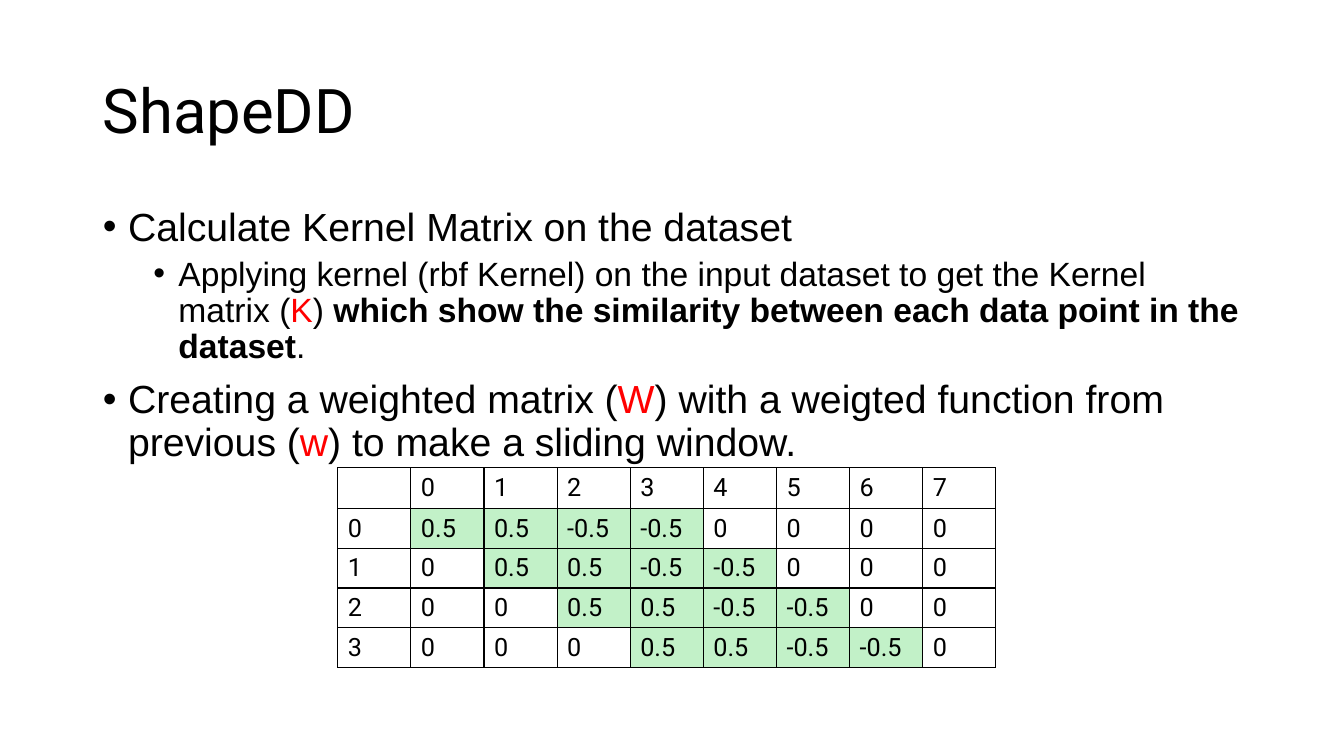
from lxml import etree
from pptx import Presentation
from pptx.dml.color import RGBColor
from pptx.enum.text import MSO_ANCHOR, MSO_AUTO_SIZE, PP_ALIGN
from pptx.oxml.ns import qn
from pptx.util import Inches, Pt

MIDDLE, TOP = MSO_ANCHOR.MIDDLE, MSO_ANCHOR.TOP
LEFT = PP_ALIGN.LEFT
NO_FIT = MSO_AUTO_SIZE.NONE

BLACK, RED, GREEN = "000000", "FF0000", "C2F1C8"

TITLE = "ShapeDD"
# (level, [(text, format), ...])
BULLETS = [
    (0, [("Calculate Kernel Matrix on the dataset", {})]),
    (1, [("Applying kernel (rbf Kernel) on the input dataset to get the Kernel matrix (", {}),
         ("K", {"color": RED}),
         (") ", {}),
         ("which show the similarity between each data point in the dataset", {"bold": True}),
         (".", {})]),
    (0, [("Creating a weighted matrix (", {}),
         ("W", {"color": RED}),
         (") with a weigted function from previous (", {}),
         ("w", {"color": RED}),
         (") to make a sliding window.", {})]),
]
# level: (text size, space before, left indent)
LEVELS = {0: (28, 10, 0.25), 1: (24, 5, 0.75)}
HANGING = 0.25

WINDOW = ["0.5", "0.5", "-0.5", "-0.5"]
N_WINDOWS, N_POINTS = 4, 8


def rgb(color):
    return RGBColor.from_string(color)


def add_run(p, text, size, font="Arial", color=BLACK, bold=False):
    r = p.add_run()
    r.text = text
    r.font.name = font
    r.font.size = Pt(size)
    r.font.bold = bold
    r.font.color.rgb = rgb(color)


def place(sp, left, top, width, height, anchor):
    """Move a placeholder and return its text frame, ready to fill."""
    sp.left, sp.top = Inches(left), Inches(top)
    sp.width, sp.height = Inches(width), Inches(height)
    tf = sp.text_frame
    tf.word_wrap = True
    tf.auto_size = NO_FIT
    tf.vertical_anchor = anchor
    return tf


def add_bullet(p, left):
    pPr = p._p.get_or_add_pPr()
    pPr.set("marL", str(Inches(left)))
    pPr.set("indent", str(-Inches(HANGING)))
    etree.SubElement(pPr, qn("a:buFont")).set("typeface", "Arial")
    etree.SubElement(pPr, qn("a:buChar")).set("char", "•")


def add_borders(cell):
    tcPr = cell._tc.get_or_add_tcPr()
    for i, side in enumerate(("lnL", "lnR", "lnT", "lnB")):
        ln = etree.Element(qn(f"a:{side}"), w=str(Pt(1)))
        fill = etree.SubElement(ln, qn("a:solidFill"))
        etree.SubElement(fill, qn("a:srgbClr")).set("val", BLACK)
        tcPr.insert(i, ln)


def fill_cell(cell, text, shaded):
    cell.vertical_anchor = MIDDLE
    if shaded:
        cell.fill.solid()
        cell.fill.fore_color.rgb = rgb(GREEN)
    else:
        cell.fill.background()
    if text:
        add_run(cell.text_frame.paragraphs[0], text, 18, "Roboto")
    add_borders(cell)


prs = Presentation()
prs.slide_width, prs.slide_height = Inches(13.33), Inches(7.5)
s = prs.slides.add_slide(prs.slide_layouts[1])
title, body = s.placeholders

p = place(title, 0.92, 0.4, 11.5, 1.45, MIDDLE).paragraphs[0]
p.alignment = LEFT
p.line_spacing = 0.9
add_run(p, TITLE, 44, "Roboto")

tf = place(body, 0.92, 2.01, 11.5, 4.76, TOP)
for i, (level, runs) in enumerate(BULLETS):
    size, before, left = LEVELS[level]
    p = tf.add_paragraph() if i else tf.paragraphs[0]
    p.level = level
    p.line_spacing = 0.9
    p.space_before = Pt(before)
    add_bullet(p, left)
    for text, style in runs:
        add_run(p, text, size, **style)

table = s.shapes.add_table(N_WINDOWS + 1, N_POINTS + 1, Inches(3.35), Inches(4.64),
                           Inches(6.53), Inches(1.9)).table
table.first_row = table.horz_banding = False
for col in range(N_POINTS + 1):
    fill_cell(table.cell(0, col), str(col - 1) if col else "", False)
for row in range(N_WINDOWS):
    fill_cell(table.cell(row + 1, 0), str(row), False)
    for col in range(N_POINTS):
        inside = row <= col < row + len(WINDOW)
        fill_cell(table.cell(row + 1, col + 1), WINDOW[col - row] if inside else "0", inside)

prs.save("out.pptx")
